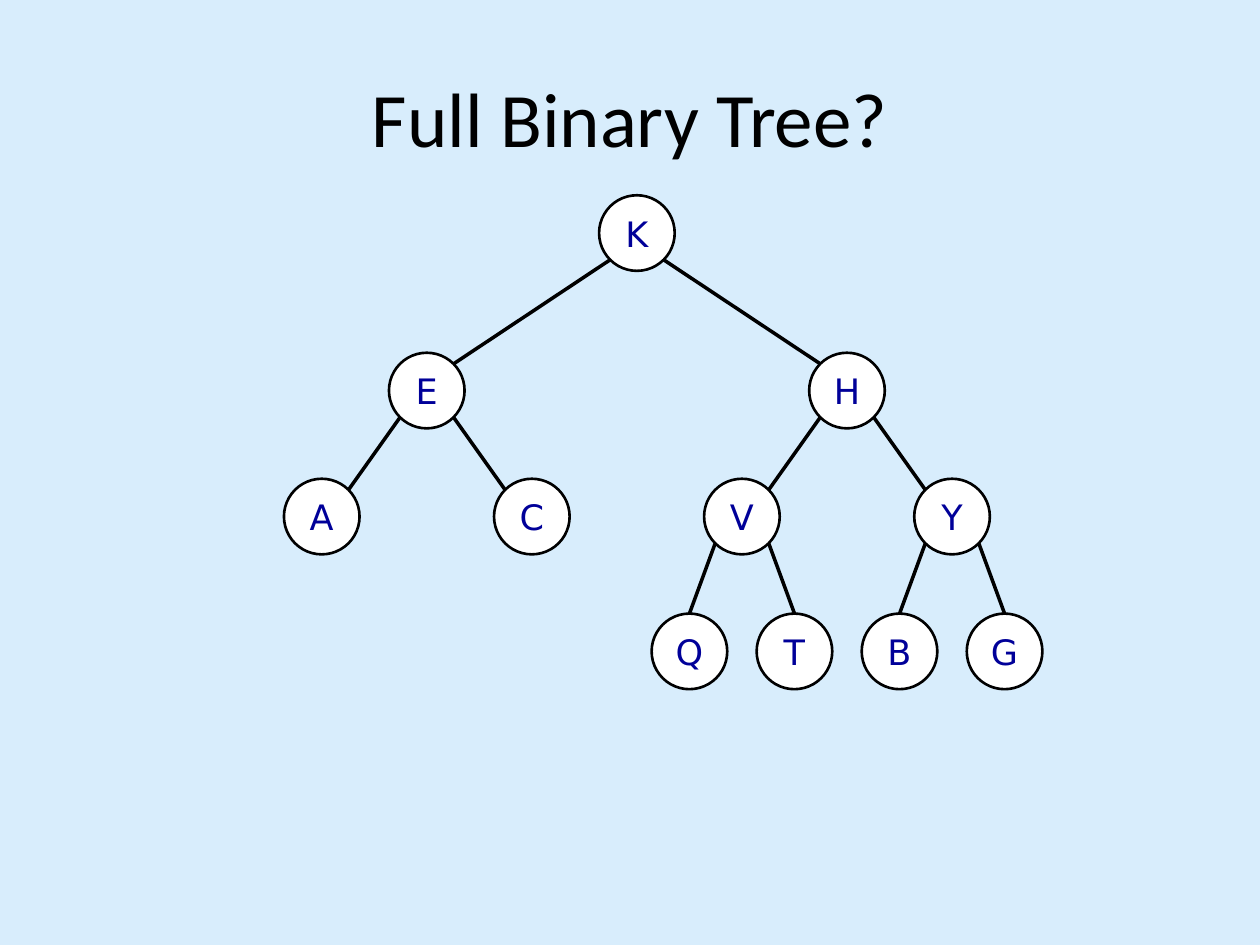
"""Build a slide that shows a binary tree under a title."""
import math
from dataclasses import dataclass

import pptx
import pptx.dml.color
import pptx.enum.shapes
import pptx.enum.text
import pptx.oxml.ns
import pptx.util
from lxml import etree

Inches = pptx.util.Inches


@dataclass(frozen=True)
class Theme:
    """Colours, fonts and sizes in points."""
    background: str = "D8EDFC"
    ink: str = "000000"
    node_fill: str = "FFFFFF"
    node_text: str = "000099"
    title_font: str = "Calibri"
    node_font: str = "DejaVu Sans"
    title_size: float = 44
    node_size: float = 20
    node_line: float = 1.5
    edge_line: float = 2


THEME = Theme()
LEVELS = (("K",), ("E", "H"), ("A", "C", "V", "Y"),
          (None, None, None, None, "Q", "T", "B", "G"))
LEVEL_TOPS = (0, 1.25, 2.25, 3.32)
NODE_SIZE = 0.6


def rgb(value):
    """Return a colour object for a hex string."""
    return pptx.dml.color.RGBColor.from_string(value)


def write_text(shape, text, font, size, color):
    """Put one centred run in the shape."""
    tf = shape.text_frame
    tf.vertical_anchor = pptx.enum.text.MSO_ANCHOR.MIDDLE
    p = tf.paragraphs[0]
    p.alignment = pptx.enum.text.PP_ALIGN.CENTER
    r = p.add_run()
    r.text = text
    r.font.name = font
    r.font.size = pptx.util.Pt(size)
    r.font.color.rgb = rgb(color)
    return tf


def add_title(slide, left, top, width, height, text):
    """Place the title in its box."""
    sp = slide.shapes.add_textbox(*map(Inches, (left, top, width, height)))
    tf = write_text(sp, text, THEME.title_font, THEME.title_size, THEME.ink)
    tf.word_wrap = True


def add_node(slide, x, top, label):
    """Draw a labelled circle centred on x."""
    sp = slide.shapes.add_shape(
        pptx.enum.shapes.MSO_SHAPE.OVAL, Inches(x - NODE_SIZE / 2), Inches(top),
        Inches(NODE_SIZE), Inches(NODE_SIZE))
    sp.shadow.inherit = False
    sp.fill.solid()
    sp.fill.fore_color.rgb = rgb(THEME.node_fill)
    sp.line.color.rgb = rgb(THEME.ink)
    sp.line.width = pptx.util.Pt(THEME.node_line)
    tf = write_text(sp, label, THEME.node_font, THEME.node_size, THEME.node_text)
    tf.margin_left = tf.margin_right = tf.margin_top = tf.margin_bottom = 0
    tf.word_wrap = False


def add_edge(slide, x1, y1, x2, y2):
    """Draw a plain line between two points."""
    line = slide.shapes.add_connector(
        pptx.enum.shapes.MSO_CONNECTOR.STRAIGHT, *map(Inches, (x1, y1, x2, y2)))
    line.line.color.rgb = rgb(THEME.ink)
    line.line.width = pptx.util.Pt(THEME.edge_line)
    etree.SubElement(line._element.spPr, pptx.oxml.ns.qn("a:effectLst"))


def add_tree(slide, left, top, width):
    """Place each level in equal slots and join children to parents."""
    radius = NODE_SIZE / 2
    diagonal = radius * math.sqrt(0.5)
    for depth, labels in enumerate(LEVELS):
        slot = width / len(labels)
        y = top + LEVEL_TOPS[depth]
        for i, label in enumerate(labels):
            if label is None:
                continue
            x = left + (i + 0.5) * slot
            add_node(slide, x, y, label)
            if depth == 0:
                continue
            side = 1 if i % 2 else -1
            parent_x = x - side * slot / 2
            parent_y = top + LEVEL_TOPS[depth - 1] + radius
            if depth == len(LEVELS) - 1:
                end = (x, y)
            else:
                end = (x - side * diagonal, y + radius - diagonal)
            add_edge(slide, parent_x + side * diagonal, parent_y + diagonal, *end)


def main():
    """Build and save the slide."""
    prs = pptx.Presentation()
    prs.slide_width, prs.slide_height = Inches(10), Inches(7.5)
    slide = prs.slides.add_slide(prs.slide_layouts[6])
    fill = slide.background.fill
    fill.solid()
    fill.fore_color.rgb = rgb(THEME.background)
    add_title(slide, 0.5, 0.3, 9, 1.25, "Full Binary Tree?")
    add_tree(slide, 1.72, 1.55, 6.67)
    prs.save("out.pptx")


if __name__ == "__main__":
    main()
